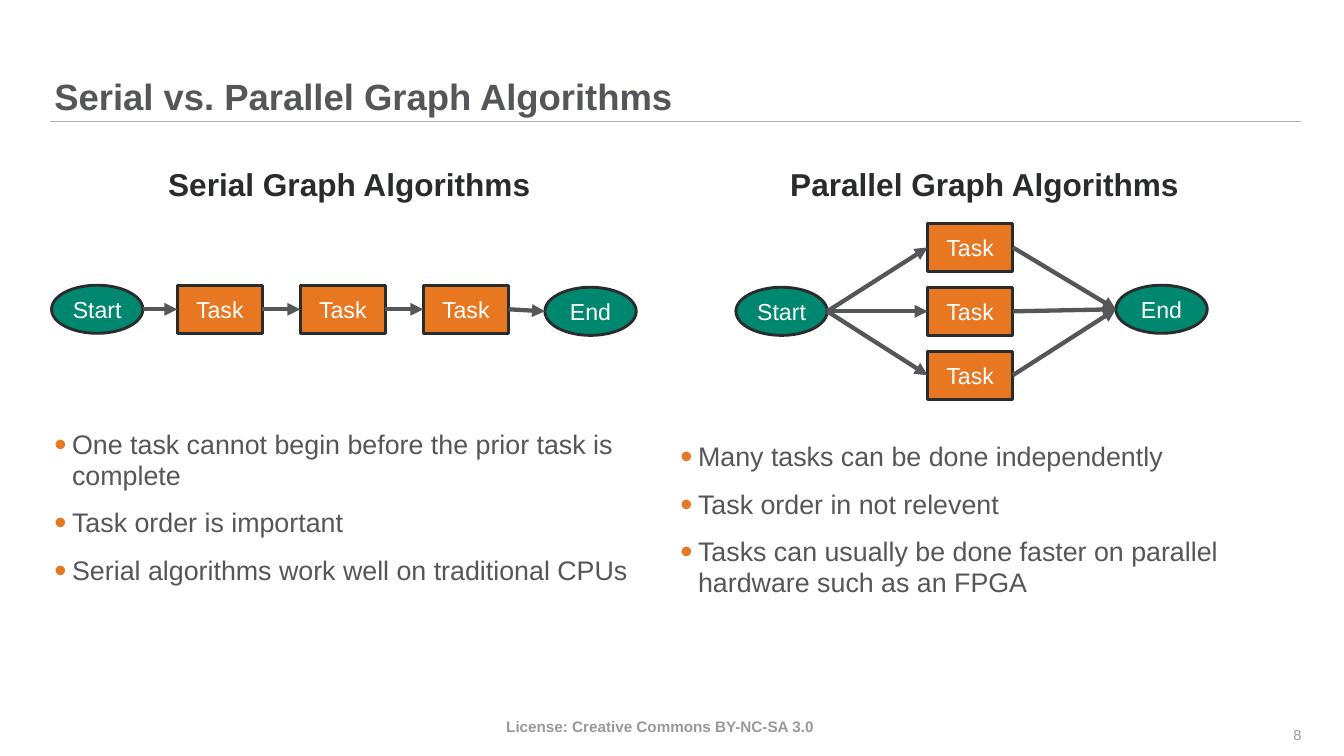
from lxml import etree
from pptx import Presentation
from pptx.dml.color import RGBColor
from pptx.enum.shapes import MSO_CONNECTOR, MSO_SHAPE
from pptx.enum.text import MSO_ANCHOR, MSO_AUTO_SIZE, PP_ALIGN
from pptx.oxml.ns import qn
from pptx.util import Pt

LEFT, CENTER, RIGHT = PP_ALIGN.LEFT, PP_ALIGN.CENTER, PP_ALIGN.RIGHT
TOP, MIDDLE, BOTTOM = MSO_ANCHOR.TOP, MSO_ANCHOR.MIDDLE, MSO_ANCHOR.BOTTOM
RECTANGLE, OVAL = MSO_SHAPE.RECTANGLE, MSO_SHAPE.OVAL
STRAIGHT = MSO_CONNECTOR.STRAIGHT

PX = 9144  # 100 px to the inch
FONT = "Arial"
GRAY, DARK, ORANGE, GREEN, WHITE = "55565A", "2A2B2D", "E87722", "008770", "FFFFFF"


def color(hex_string):
    return RGBColor.from_string(hex_string)


def write(shape, *lines, size, ink=GRAY, bold=False, align=LEFT, anchor=TOP,
          spacing=1.0, before=0, after=0, bullet=False):
    frame = shape.text_frame
    frame.word_wrap = True
    frame.auto_size = MSO_AUTO_SIZE.NONE
    frame.vertical_anchor = anchor
    frame.margin_left = frame.margin_right = 0
    frame.margin_top = frame.margin_bottom = 0
    for index, line in enumerate(lines):
        para = frame.add_paragraph() if index else frame.paragraphs[0]
        para.alignment = align
        para.line_spacing = spacing
        para.space_before = Pt(before if index else 0)
        para.space_after = Pt(after)
        if bullet:
            props = para._p.get_or_add_pPr()
            props.set("marL", str(26 * PX))
            props.set("indent", str(-26 * PX))
            tint = etree.SubElement(props, qn("a:buClr"))
            etree.SubElement(tint, qn("a:srgbClr"), val=ORANGE)
            etree.SubElement(props, qn("a:buSzPct"), val="130000")
            etree.SubElement(props, qn("a:buFont"), typeface=FONT)
            etree.SubElement(props, qn("a:buChar"), char="•")
        span = para.add_run()
        span.text = line
        span.font.name = FONT
        span.font.size = Pt(size)
        span.font.bold = bold
        span.font.color.rgb = color(ink)


deck = Presentation()
deck.slide_width, deck.slide_height = 1956 * PX, 1100 * PX
page = deck.slides.add_slide(deck.slide_layouts[5])

# Title
title = page.shapes.title
title.left, title.top, title.width, title.height = 79 * PX, 0, 1815 * PX, 172 * PX
write(title, "Serial vs. Parallel Graph Algorithms", size=38.2, bold=True,
      anchor=BOTTOM, spacing=0.9)

# Headings, bullet lists, license and page number
heading = dict(size=33.1, ink=DARK, bold=True, align=CENTER, spacing=0.95)
bullets = dict(size=28.1, spacing=0.95, before=10.2, after=7.7, bullet=True)
texts = [
    (220, 244, 577, 79, ["Serial Graph Algorithms"], heading),
    (981, 244, 904, 79, ["Parallel Graph Algorithms"], heading),
    (79, 626, 886, 322, ["One task cannot begin before the prior task is complete",
                         "Task order is important",
                         "Serial algorithms work well on traditional CPUs"], bullets),
    (990, 643, 908, 305, ["Many tasks can be done independently",
                          "Task order in not relevent",
                          "Tasks can usually be done faster on parallel hardware such as an FPGA"],
     bullets),
    (575, 1039, 771, 37, ["License: Creative Commons BY-NC-SA 3.0"],
     dict(size=16, ink="98999D", bold=True, align=CENTER, anchor=MIDDLE)),
    (1807, 1040, 87, 59, ["8"],
     dict(size=15.3, ink="999A9B", align=RIGHT, anchor=MIDDLE)),
]
for left, top, width, height, lines, style in texts:
    box = page.shapes.add_textbox(left * PX, top * PX, width * PX, height * PX)
    write(box, *lines, **style)

# Graph nodes: (label, left, top)
serial_nodes = [("Start", 75, 415)]
serial_nodes += [("Task", 258 + 179 * step, 415) for step in range(3)]
serial_nodes += [("End", 793, 418)]
parallel_nodes = [("Start", 1071, 418)]
parallel_nodes += [("Task", 1350, 325 + 93 * row) for row in range(3)]
parallel_nodes += [("End", 1624, 415)]

nodes = []
for label, left, top in serial_nodes + parallel_nodes:
    kind, width, fill = (RECTANGLE, 124, ORANGE) if label == "Task" else (OVAL, 133, GREEN)
    node = page.shapes.add_shape(kind, left * PX, top * PX, width * PX, 70 * PX)
    node.shadow.inherit = False
    node.fill.solid()
    node.fill.fore_color.rgb = color(fill)
    node.line.color.rgb = color(DARK)
    node.line.width = Pt(3)
    write(node, label, size=24.2, ink=WHITE, align=CENTER, anchor=MIDDLE)
    nodes.append(node)

# Arrows from the right side of one node to the left side of the next
serial, parallel = nodes[:5], nodes[5:]
links = list(zip(serial, serial[1:]))
for task in parallel[1:4]:
    links += [(parallel[0], task), (task, parallel[4])]
ends = [(source.left + source.width, source.top + source.height // 2,
         target.left, target.top + target.height // 2) for source, target in links]

# The rule under the title is a plain line
rule = (73 * PX, 177 * PX, 1894 * PX, 177 * PX)
lines = [(rule, "B1B3B3", 1, False)] + [(end, GRAY, 4.5, True) for end in ends]
for points, ink, weight, arrow in lines:
    connector = page.shapes.add_connector(STRAIGHT, *points)
    connector.line.color.rgb = color(ink)
    connector.line.width = Pt(weight)
    etree.SubElement(connector._element.spPr, qn("a:effectLst"))
    if arrow:
        etree.SubElement(connector.line._get_or_add_ln(), qn("a:tailEnd"), type="triangle")

deck.save("out.pptx")
